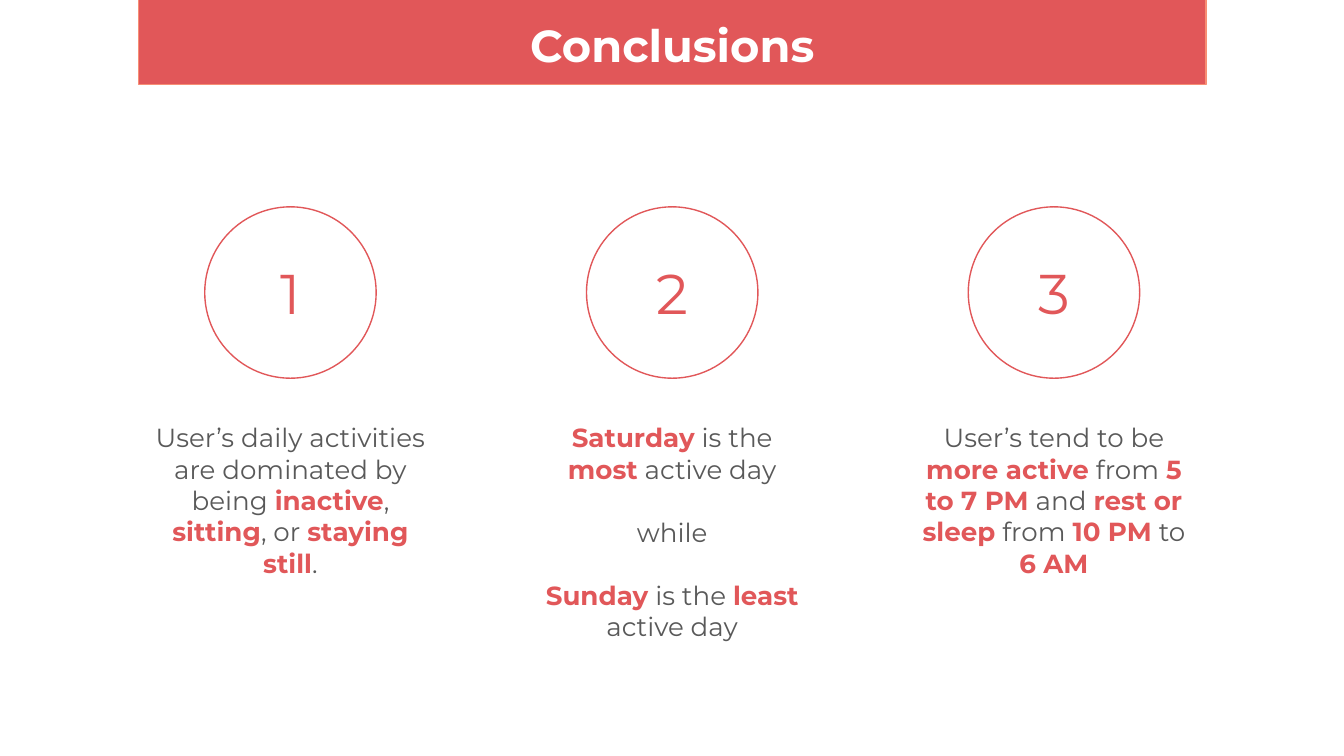
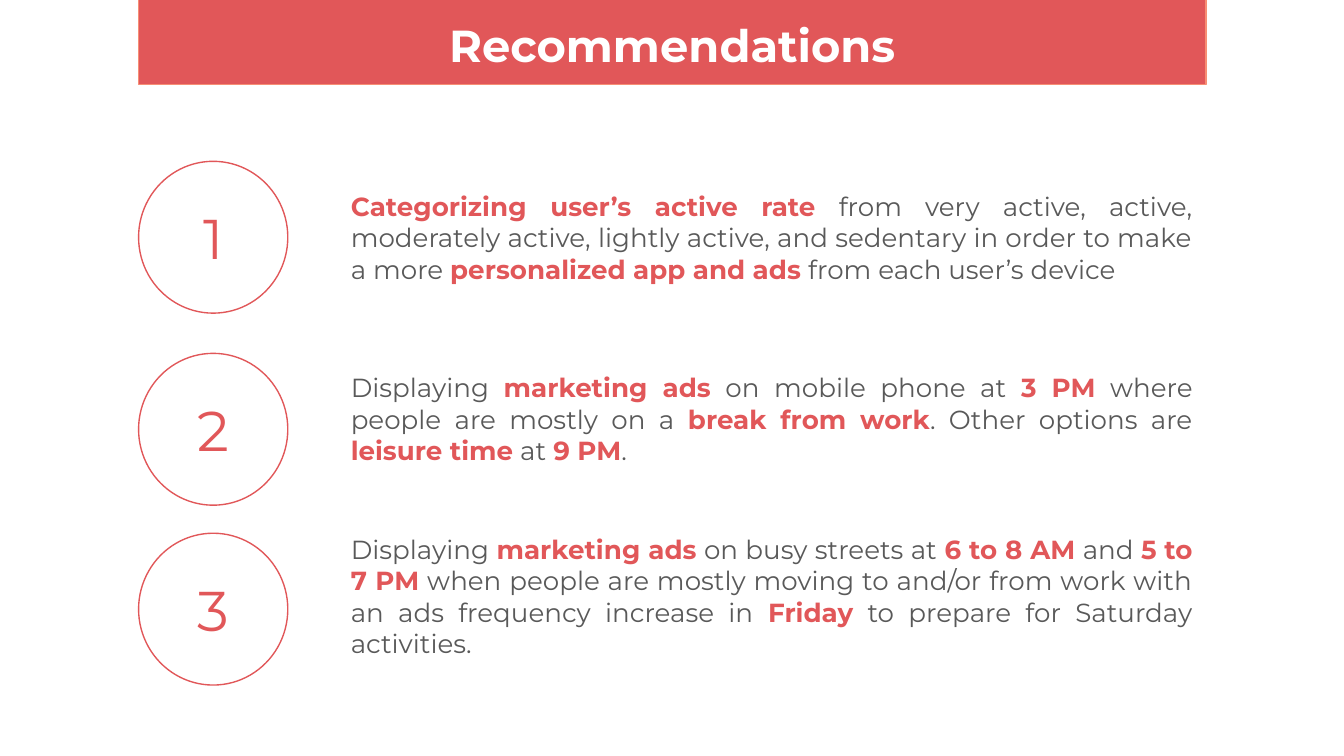
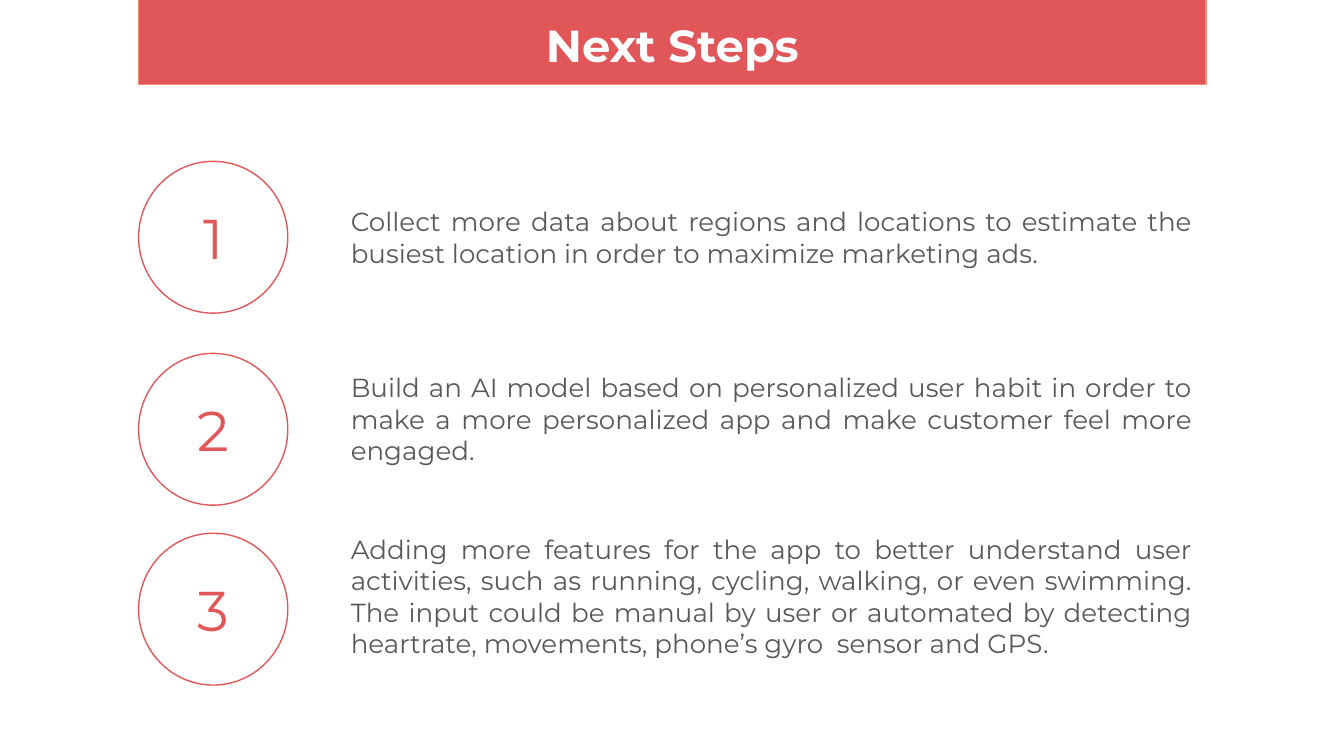
from pptx import Presentation
from pptx.dml.color import RGBColor
from pptx.enum.shapes import MSO_SHAPE
from pptx.enum.text import MSO_ANCHOR as ANCHOR, MSO_AUTO_SIZE, PP_ALIGN as ALIGN
from pptx.oxml import parse_xml
from pptx.oxml.ns import nsdecls
from pptx.util import Cm, Pt

RED = RGBColor(0xE1, 0x57, 0x59)
SALMON = RGBColor(0xF7, 0x8E, 0x75)
GREY = RGBColor(0x59, 0x59, 0x59)
WHITE = RGBColor(0xFF, 0xFF, 0xFF)
FONT = "Montserrat"
TITLE_ONLY = 5

# Lengths in cm
INSET = 0.25
LEFT, WIDTH = 2.62, 20.17
BAND_TOP, BAND_HEIGHT = -0.58, 2.18

COLUMN_WIDTH = 5.74
COLUMN_STEP = (WIDTH - COLUMN_WIDTH) / 2
COLUMN_CIRCLE = 3.24
COLUMN_CIRCLE_TOP, COLUMN_TEXT_TOP, COLUMN_TEXT_HEIGHT = 3.91, 7.72, 5.05

ROW_CIRCLE_WIDTH, ROW_CIRCLE_HEIGHT = 2.82, 2.87
ROW_TEXT_LEFT = 6.38
ROW_TEXT_WIDTH = LEFT + WIDTH - ROW_TEXT_LEFT
# Circle top, text top, text height, text format
ROWS = [
    (3.05, 3.23, 2.51, dict(anchor=ANCHOR.MIDDLE)),
    (6.68, 6.78, 3.02, dict()),
    (10.08, 10.08, 2.87, dict(inset_top=0)),
]

# Words between ** are highlighted; each string in a list is a paragraph
CONCLUSIONS = [
    ["User’s daily activities are dominated by being **inactive**, "
     "**sitting**, or **staying still**."],
    ["**Saturday** is the **most** active day", "while",
     "**Sunday** is the **least** active day"],
    ["User’s tend to be **more active** from **5 to 7 PM** and "
     "**rest or sleep** from **10 PM** to **6 AM**"],
]
RECOMMENDATIONS = [
    "**Categorizing user’s active rate** from very active, active, moderately "
    "active, lightly active, and sedentary in order to make a more "
    "**personalized app and ads** from each user’s device",
    "Displaying **marketing ads** on mobile phone at **3 PM** where people are "
    "mostly on a **break from work**. Other options are **leisure time** at "
    "**9 PM**.",
    "Displaying **marketing ads** on busy streets at **6 to 8 AM** and "
    "**5 to 7 PM** when people are mostly moving to and/or from work with an "
    "ads frequency increase in **Friday** to prepare for Saturday activities.",
]
NEXT_STEPS = [
    "Collect more data about regions and locations to estimate the busiest "
    "location in order to maximize marketing ads.",
    "Build an AI model based on personalized user habit in order to make a "
    "more personalized app and make customer feel more engaged.",
    "Adding more features for the app to better understand user activities, "
    "such as running, cycling, walking, or even swimming. The input could be "
    "manual by user or automated by detecting heartrate, movements, phone’s "
    "gyro  sensor and GPS.",
]


def write(sp, paragraphs, size=14, color=GREY, bold=False, align=ALIGN.CENTER,
          anchor=ANCHOR.TOP, inset_top=INSET, gap=0):
    """Fill a shape with text; gap is the space in points between paragraphs."""
    tf = sp.text_frame
    tf.word_wrap = True
    tf.auto_size = MSO_AUTO_SIZE.NONE
    tf.vertical_anchor = anchor
    tf.margin_left = tf.margin_right = tf.margin_bottom = Cm(INSET)
    tf.margin_top = Cm(inset_top)
    for i, text in enumerate(paragraphs):
        p = tf.add_paragraph() if i else tf.paragraphs[0]
        p.alignment = align
        p.line_spacing = 1.0
        p.space_before = Pt(gap if i else 0)
        for j, part in enumerate(text.split("**")):
            if not part:
                continue
            highlighted = j % 2 == 1
            r = p.add_run()
            r.text = part
            r.font.name = FONT
            r.font.size = Pt(size)
            r.font.bold = bold or highlighted
            r.font.color.rgb = RED if highlighted else color


def add_text(slide, left, top, width, height, paragraphs, **fmt):
    sp = slide.shapes.add_textbox(Cm(left), Cm(top), Cm(width), Cm(height))
    write(sp, paragraphs, **fmt)


def add_number(slide, number, left, top, width, height):
    """Add an outlined circle with a number in it."""
    sp = slide.shapes.add_shape(MSO_SHAPE.OVAL, Cm(left), Cm(top),
                                Cm(width), Cm(height))
    sp.shadow.inherit = False
    sp.fill.background()
    sp.line.color.rgb = RED
    sp.line.width = Pt(0.75)
    write(sp, [str(number)], size=30, color=RED, anchor=ANCHOR.MIDDLE)


def add_titled_slide(prs, title):
    """Add a slide whose title placeholder is the rounded band at the top."""
    slide = prs.slides.add_slide(prs.slide_layouts[TITLE_ONLY])
    sp = slide.shapes.title
    sp.left, sp.top = Cm(LEFT), Cm(BAND_TOP)
    sp.width, sp.height = Cm(WIDTH), Cm(BAND_HEIGHT)
    sp._element.spPr.insert(1, parse_xml(
        f'<a:prstGeom {nsdecls("a")} prst="roundRect"><a:avLst>'
        '<a:gd name="adj" fmla="val 16667"/></a:avLst></a:prstGeom>'))
    sp.fill.solid()
    sp.fill.fore_color.rgb = RED
    sp.line.color.rgb = SALMON
    sp.line.width = Pt(0.75)
    write(sp, [title], size=24, color=WHITE, bold=True, anchor=ANCHOR.BOTTOM)
    return slide


def add_column_slide(prs, title, columns):
    slide = add_titled_slide(prs, title)
    for i, paragraphs in enumerate(columns):
        left = LEFT + i * COLUMN_STEP
        add_number(slide, i + 1, left + (COLUMN_WIDTH - COLUMN_CIRCLE) / 2,
                   COLUMN_CIRCLE_TOP, COLUMN_CIRCLE, COLUMN_CIRCLE)
        add_text(slide, left, COLUMN_TEXT_TOP, COLUMN_WIDTH,
                 COLUMN_TEXT_HEIGHT, paragraphs, gap=17)


def add_row_slide(prs, title, items):
    slide = add_titled_slide(prs, title)
    for i, (item, row) in enumerate(zip(items, ROWS)):
        circle_top, text_top, text_height, fmt = row
        add_number(slide, i + 1, LEFT, circle_top,
                   ROW_CIRCLE_WIDTH, ROW_CIRCLE_HEIGHT)
        add_text(slide, ROW_TEXT_LEFT, text_top, ROW_TEXT_WIDTH, text_height,
                 [item], align=ALIGN.JUSTIFY, **fmt)


def main():
    prs = Presentation()
    prs.slide_width, prs.slide_height = Cm(25.4), Cm(14.29)
    add_column_slide(prs, "Conclusions", CONCLUSIONS)
    add_row_slide(prs, "Recommendations", RECOMMENDATIONS)
    add_row_slide(prs, "Next Steps", NEXT_STEPS)
    prs.save("out.pptx")


if __name__ == "__main__":
    main()
